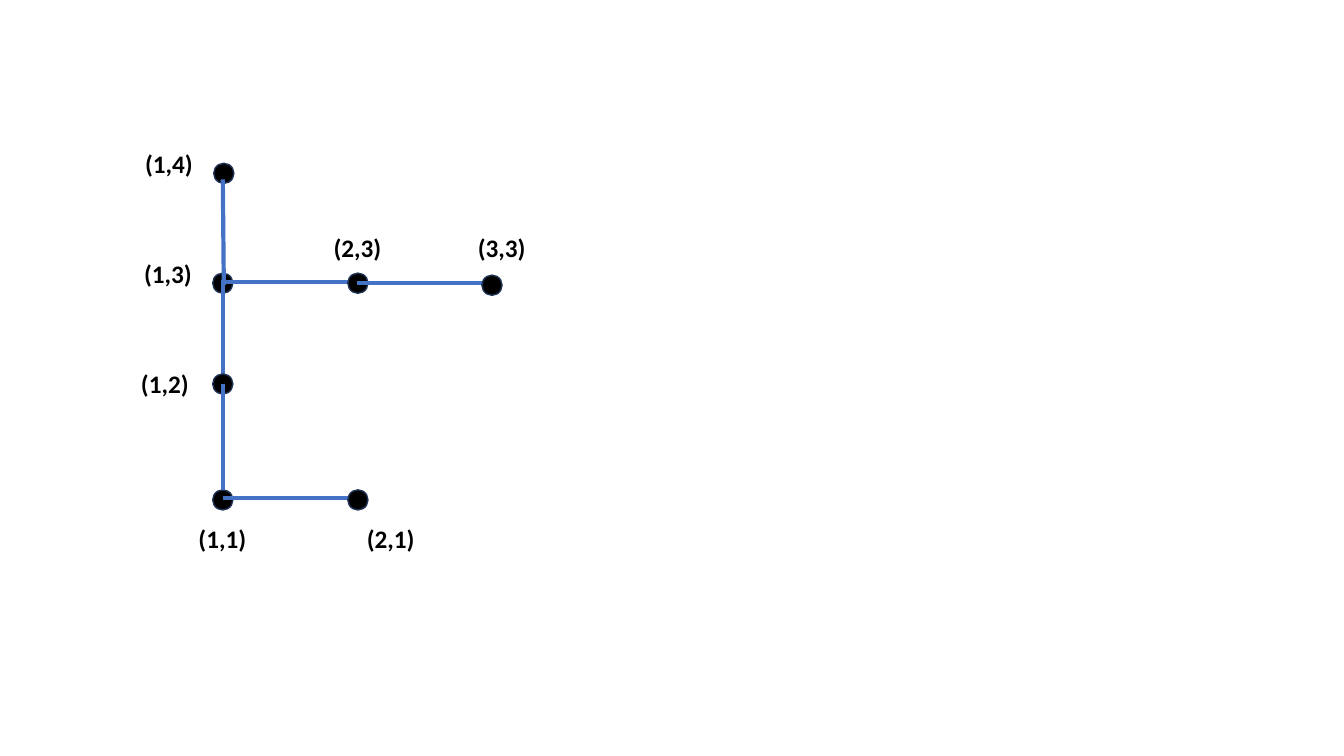
"""Build a slide showing a lattice tree with labelled grid points."""
from dataclasses import dataclass

from lxml import etree
from pptx import Presentation
from pptx.dml.color import RGBColor
from pptx.enum.shapes import MSO_CONNECTOR, MSO_SHAPE
from pptx.enum.text import MSO_AUTO_SIZE, MSO_VERTICAL_ANCHOR
from pptx.oxml.ns import qn
from pptx.slide import Slide
from pptx.util import Inches, Pt

STRAIGHT = MSO_CONNECTOR.STRAIGHT
OVAL = MSO_SHAPE.OVAL
GROW = MSO_AUTO_SIZE.SHAPE_TO_FIT_TEXT
TOP = MSO_VERTICAL_ANCHOR.TOP


@dataclass(frozen=True)
class Theme:
    font: str = "Calibri"
    label_size: int = 18
    dot_fill: RGBColor = RGBColor(0x00, 0x00, 0x00)
    dot_line: RGBColor = RGBColor(0x1E, 0x32, 0x56)
    edge: RGBColor = RGBColor(0x44, 0x72, 0xC4)
    text: RGBColor = RGBColor(0x00, 0x00, 0x00)
    dot_line_width: float = 1
    edge_width: float = 3
    dot_size: float = 0.2
    label_width: float = 0.68
    label_height: float = 0.4


@dataclass(frozen=True)
class Dot:
    left: float
    top: float


@dataclass(frozen=True)
class Edge:
    start_x: float
    start_y: float
    end_x: float
    end_y: float


@dataclass(frozen=True)
class Label:
    column: int
    row: int
    left: float
    top: float


THEME = Theme()

TREE = [
    Dot(2.11, 4.86),
    Edge(2.21, 4.94, 3.6, 4.94),
    Dot(3.45, 4.86),
    Dot(2.11, 2.71),
    Edge(2.21, 2.8, 3.6, 2.8),
    Dot(3.45, 2.71),
    Edge(3.54, 2.81, 4.93, 2.81),
    Dot(4.78, 2.73),
    Edge(2.21, 2.78, 2.21, 3.75),
    Dot(2.11, 3.71),
    Edge(2.21, 3.81, 2.21, 4.86),
    Dot(2.12, 1.62),
    Edge(2.21, 1.78, 2.22, 2.83),
]

LABELS = [
    Label(1, 1, 1.87, 5.14),
    Label(2, 1, 3.54, 5.14),
    Label(1, 2, 1.3, 3.61),
    Label(1, 3, 1.33, 2.51),
    Label(1, 4, 1.34, 1.42),
    Label(2, 3, 3.21, 2.26),
    Label(3, 3, 4.64, 2.26),
]


def draw_dot(slide: Slide, dot: Dot) -> None:
    """Draw one grid point."""
    size = Inches(THEME.dot_size)
    shape = slide.shapes.add_shape(OVAL, Inches(dot.left), Inches(dot.top), size, size)
    shape.shadow.inherit = False
    shape.fill.solid()
    shape.fill.fore_color.rgb = THEME.dot_fill
    shape.line.color.rgb = THEME.dot_line
    shape.line.width = Pt(THEME.dot_line_width)


def draw_edge(slide: Slide, edge: Edge) -> None:
    """Draw one edge of the tree."""
    connector = slide.shapes.add_connector(
        STRAIGHT,
        Inches(edge.start_x),
        Inches(edge.start_y),
        Inches(edge.end_x),
        Inches(edge.end_y),
    )
    connector.line.color.rgb = THEME.edge
    connector.line.width = Pt(THEME.edge_width)
    etree.SubElement(connector._element.spPr, qn("a:effectLst"))


def draw_label(slide: Slide, label: Label) -> None:
    """Write the coordinates of a grid point."""
    box = slide.shapes.add_textbox(
        Inches(label.left),
        Inches(label.top),
        Inches(THEME.label_width),
        Inches(THEME.label_height),
    )
    frame = box.text_frame
    frame.word_wrap = False
    frame.auto_size = GROW
    frame.vertical_anchor = TOP
    paragraph = frame.paragraphs[0]
    paragraph.text = f"({label.column},{label.row})"
    paragraph.font.name = THEME.font
    paragraph.font.size = Pt(THEME.label_size)
    paragraph.font.bold = True
    paragraph.font.color.rgb = THEME.text


def main() -> None:
    """Build and save the presentation."""
    presentation = Presentation()
    presentation.slide_width = Inches(13.33)
    presentation.slide_height = Inches(7.5)
    slide = presentation.slides.add_slide(presentation.slide_layouts.get_by_name("Blank"))
    for part in TREE:
        if isinstance(part, Dot):
            draw_dot(slide, part)
        else:
            draw_edge(slide, part)
    for label in LABELS:
        draw_label(slide, label)
    presentation.save("out.pptx")


if __name__ == "__main__":
    main()
